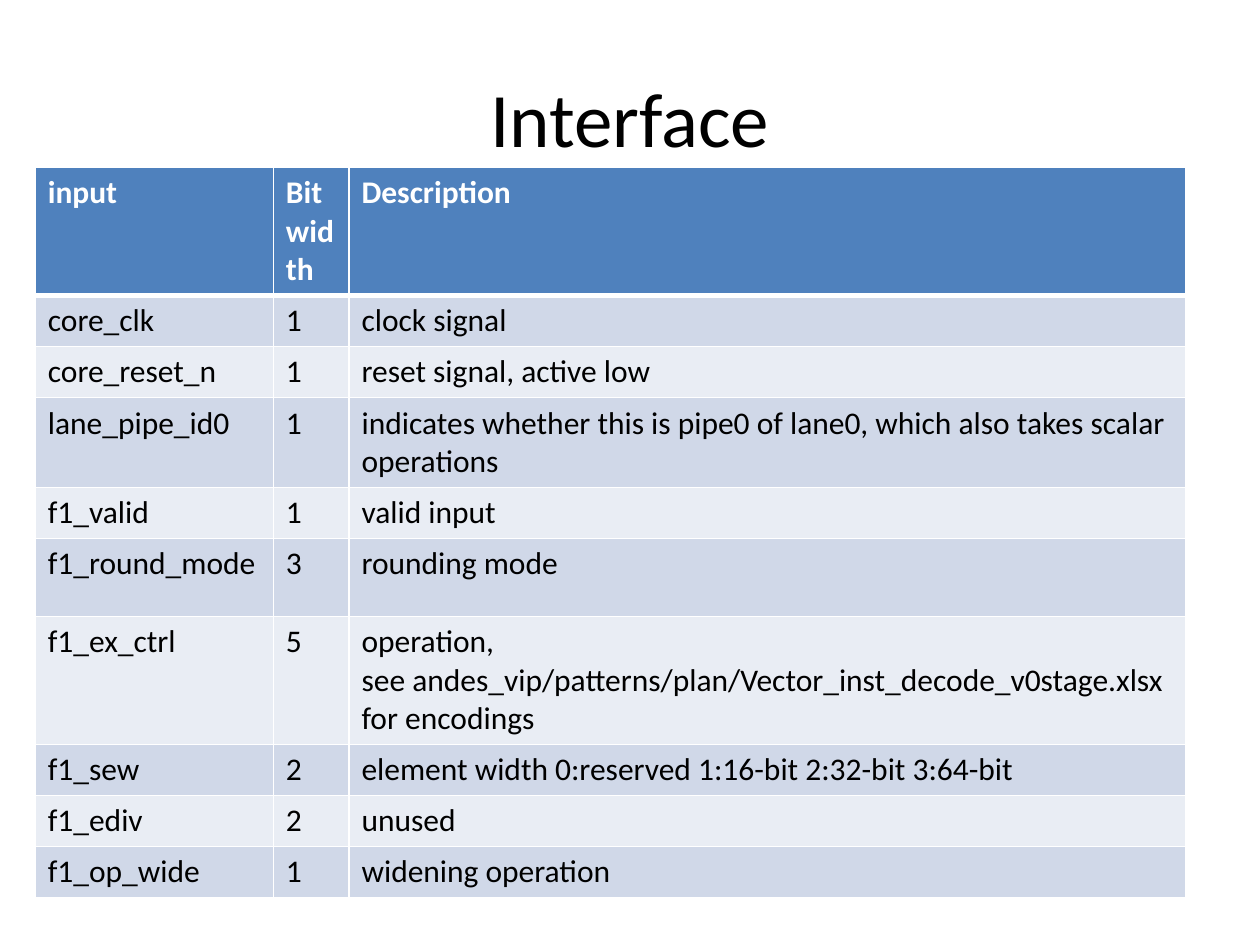
from lxml import etree
from pptx import Presentation
from pptx.dml.color import RGBColor
from pptx.enum.text import MSO_ANCHOR, PP_ALIGN
from pptx.oxml.ns import qn
from pptx.util import Inches, Pt

MIDDLE = MSO_ANCHOR.MIDDLE
CENTER = PP_ALIGN.CENTER

FONT = "Calibri"
BLACK = RGBColor(0x00, 0x00, 0x00)
WHITE = RGBColor(0xFF, 0xFF, 0xFF)
HEADER_BLUE = RGBColor(0x4F, 0x81, 0xBD)
BANDS = (RGBColor(0xE9, 0xED, 0xF4), RGBColor(0xD0, 0xD8, 0xE8))

TITLE = "Interface"
HEADER = ("input", "Bit width", "Description")
SIGNALS = [
    ("core_clk", "1", "clock signal"),
    ("core_reset_n", "1", "reset signal, active low"),
    ("lane_pipe_id0", "1",
     "indicates whether this is pipe0 of lane0, which also takes scalar operations"),
    ("f1_valid", "1", "valid input"),
    ("f1_round_mode", "3", "rounding mode"),
    ("f1_ex_ctrl", "5",
     "operation,\n"
     "see andes_vip/patterns/plan/Vector_inst_decode_v0stage.xlsx for encodings"),
    ("f1_sew", "2", "element width 0:reserved 1:16-bit 2:32-bit 3:64-bit"),
    ("f1_ediv", "2", "unused"),
    ("f1_op_wide", "1", "widening operation"),
]
COLUMN_WIDTHS = (1.89, 0.6, 6.64)
ROW_HEIGHTS = (0.62, 0.35, 0.35, 0.62, 0.35, 0.62, 0.89, 0.35, 0.34, 0.34)


def set_borders(cell, bottom_width):
    """Draw white borders, 1 pt wide except for the bottom and before the fill in XML."""
    properties = cell._tc.get_or_add_tcPr()
    widths = {"a:lnL": 1, "a:lnR": 1, "a:lnT": 1, "a:lnB": bottom_width}
    for position, (tag, width) in enumerate(widths.items()):
        line = etree.Element(qn(tag), w=str(Pt(width)))
        fill = etree.SubElement(line, qn("a:solidFill"))
        etree.SubElement(fill, qn("a:srgbClr"), val=str(WHITE))
        properties.insert(position, line)


def style_text(paragraph, size, color, bold=False):
    font = paragraph.font
    font.name = FONT
    font.size = Pt(size)
    font.bold = bold
    font.color.rgb = color


def add_title(page):
    title = page.shapes.title
    title.left, title.top = Inches(0.5), Inches(0.3)
    title.width, title.height = Inches(9), Inches(1.25)
    frame = title.text_frame
    frame.text = TITLE
    frame.vertical_anchor = MIDDLE
    frame.paragraphs[0].alignment = CENTER
    style_text(frame.paragraphs[0], 44, BLACK)


def add_signal_table(page):
    rows = [HEADER, *SIGNALS]
    table = page.shapes.add_table(
        len(rows), len(HEADER), Inches(0.28), Inches(1.33),
        Inches(sum(COLUMN_WIDTHS)), Inches(sum(ROW_HEIGHTS))).table
    for column, width in zip(table.columns, COLUMN_WIDTHS):
        column.width = Inches(width)
    for row, height in zip(table.rows, ROW_HEIGHTS):
        row.height = Inches(height)

    for row_index, texts in enumerate(rows):
        is_header = row_index == 0
        for column_index, text in enumerate(texts):
            cell = table.cell(row_index, column_index)
            cell.text = text
            cell.fill.solid()
            cell.fill.fore_color.rgb = HEADER_BLUE if is_header else BANDS[row_index % 2]
            set_borders(cell, 3 if is_header else 1)
            for paragraph in cell.text_frame.paragraphs:
                style_text(paragraph, 18, WHITE if is_header else BLACK, is_header)


def main():
    deck = Presentation()
    deck.slide_width, deck.slide_height = Inches(10), Inches(7.5)
    page = deck.slides.add_slide(deck.slide_layouts[5])
    add_title(page)
    add_signal_table(page)
    deck.save("out.pptx")


if __name__ == "__main__":
    main()
